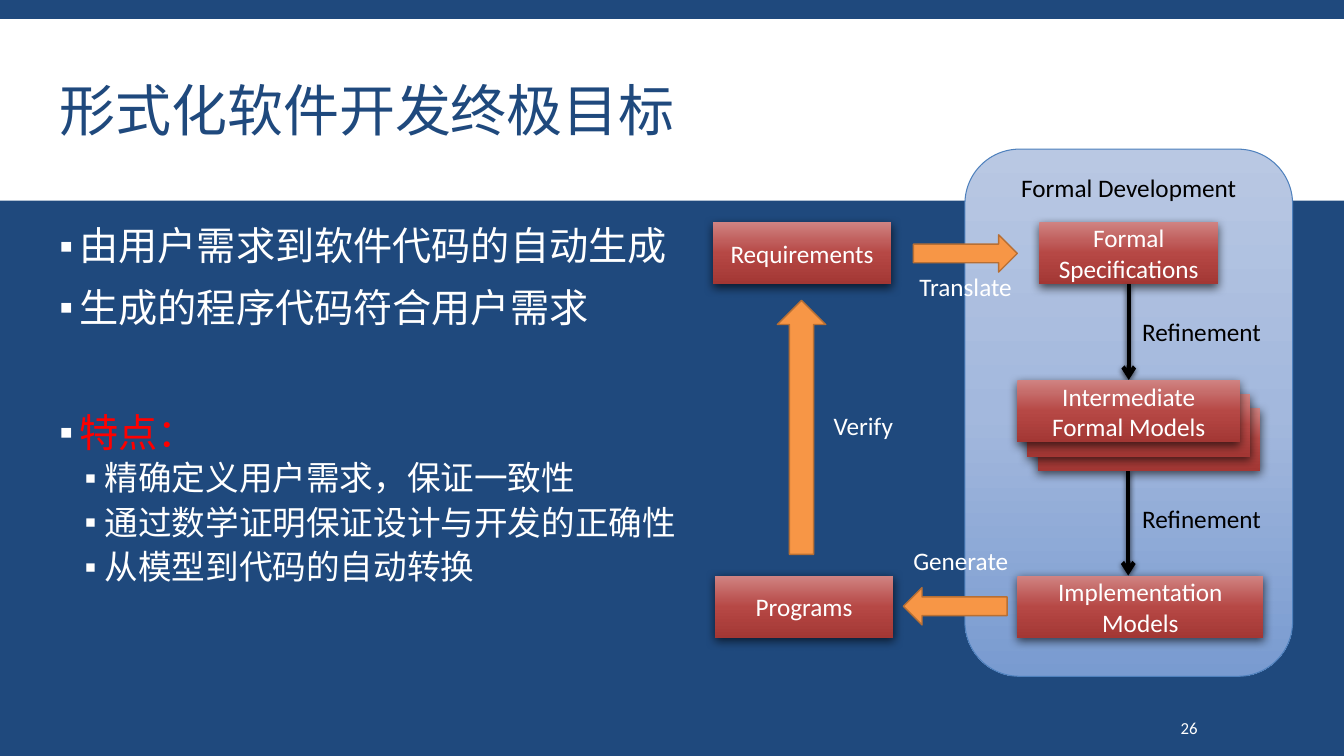
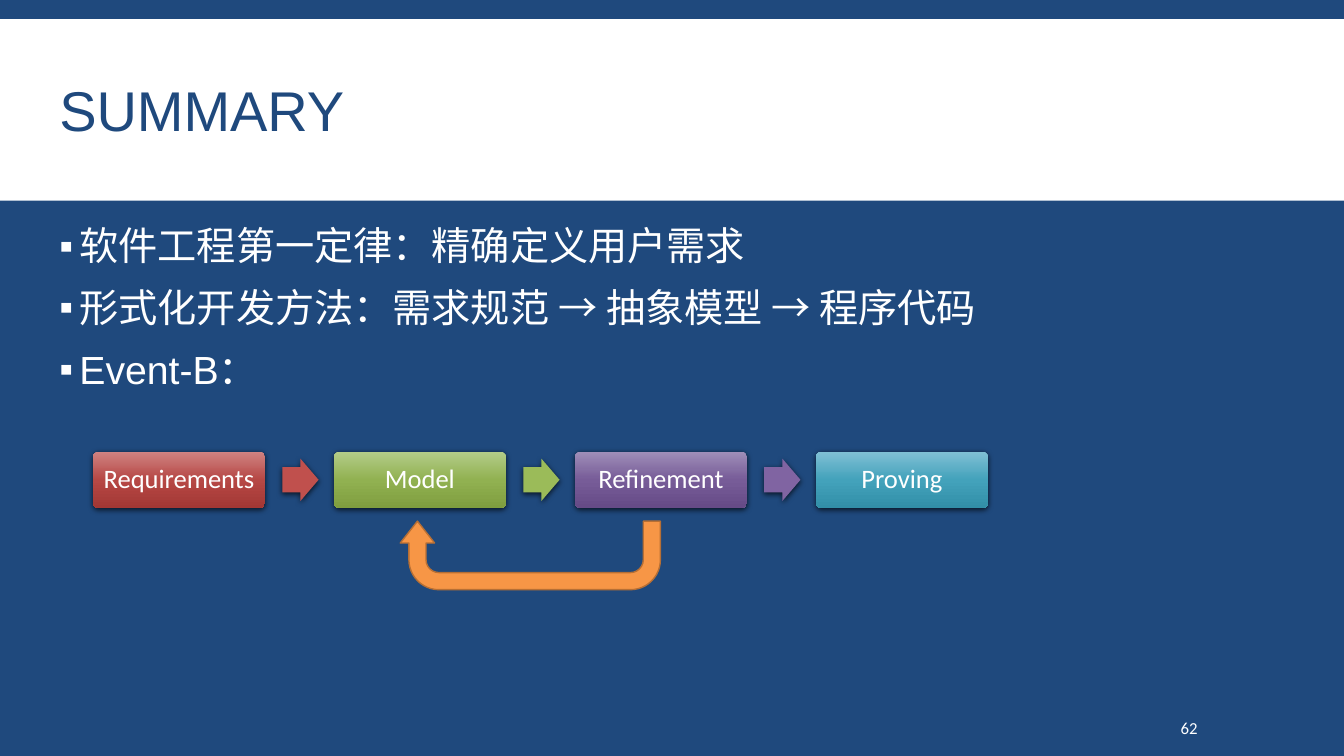
import copy
import dataclasses

import lxml.etree
import pptx
import pptx.dml.color
import pptx.enum.shapes
import pptx.enum.text
import pptx.oxml.ns
import pptx.util

Inches = pptx.util.Inches
Pt = pptx.util.Pt
qn = pptx.oxml.ns.qn
SHAPE = pptx.enum.shapes.MSO_SHAPE
ALIGN = pptx.enum.text.PP_ALIGN
ANCHOR = pptx.enum.text.MSO_ANCHOR

COLORS = {
    "navy": "1F497D", "white": "FFFFFF", "black": "000000", "alert": "FF0000",
    "orange": "F79646", "orange_edge": "B76F34", "panel_edge": "4F81BD",
    "red": "C0504D", "green": "9BBB59", "purple": "8064A2",
}
GRADIENTS = {
    "panel": ("B9C8E3", "A3B8DD", "799BD0"),
    "red": ("D08382", "B64845", "A33734"),
    "green": ("B3CC88", "91B151", "7F9E3F"),
    "purple": ("9F8EB8", "775C98", "664B87"),
    "teal": ("81C0D5", "43A2BB", "328FA8"),
}
# Shadows: opacity in percent, blur and distance in points
DEEP_SHADOW = (63, 7, 2.2)
SOFT_SHADOW = (68, 4, 1.2)


@dataclasses.dataclass
class Box:
    """A rectangle in inches."""
    left: float
    top: float
    width: float
    height: float

    def inner(self, left, top, width, height):
        """A box placed relative to this one's top left corner."""
        return Box(self.left + left, self.top + top, width, height)

    def lengths(self):
        return [Inches(v) for v in (self.left, self.top, self.width, self.height)]


TITLE_BAND = Box(0, 0.19, 13.33, 1.8)
TITLE = Box(0.49, 0.31, 12.33, 1.65)
BODY = Box(0.49, 2.2, 12.33, 4.6)
PAGE_NUMBER = Box(11.66, 7.02, 1.17, 0.4)


def rgb(name):
    return pptx.dml.color.RGBColor.from_string(COLORS.get(name, name))


def add_run(para, text, size, color, font="Calibri"):
    span = para.add_run()
    span.text = text
    span.font.size = Pt(size)
    span.font.name = font
    span.font.color.rgb = rgb(color)


def add_text_box(page, box, wrap=True, anchor=ANCHOR.TOP):
    shape = page.shapes.add_textbox(*box.lengths())
    shape.text_frame.word_wrap = wrap
    shape.text_frame.vertical_anchor = anchor
    return shape.text_frame


def add_shadow(effects, shadow):
    opacity, blur, distance = shadow
    outer = lxml.etree.SubElement(
        effects, qn("a:outerShdw"), blurRad=str(Pt(blur)), dist=str(Pt(distance)),
        dir="5400000", rotWithShape="0")
    tint = lxml.etree.SubElement(outer, qn("a:srgbClr"), val=COLORS["black"])
    lxml.etree.SubElement(tint, qn("a:alpha"), val=str(opacity * 1000))


def fill_gradient(shape, name):
    """Fill from top to bottom with three stops."""
    shape.fill.gradient()
    shape.fill.gradient_angle = 270
    stop_list = shape._element.spPr.find(qn("a:gradFill")).find(qn("a:gsLst"))
    stop_list.insert(1, copy.deepcopy(stop_list[0]))
    for index, stop in enumerate(shape.fill.gradient_stops):
        stop.position = index / 2
        stop.color.rgb = rgb(GRADIENTS[name][index])


def add_shape(page, kind, box, fill=None, gradient=None, edge=None,
              edge_width=1, shadow=None, adjustments=()):
    shape = page.shapes.add_shape(kind, *box.lengths())
    for index, value in enumerate(adjustments):
        shape.adjustments[index] = value
    if gradient:
        fill_gradient(shape, gradient)
    else:
        shape.fill.solid()
        shape.fill.fore_color.rgb = rgb(fill)
    if edge:
        shape.line.color.rgb = rgb(edge)
        shape.line.width = Pt(edge_width)
    else:
        shape.line.fill.background()
    shape.shadow.inherit = False
    if shadow:
        add_shadow(shape._element.spPr.find(qn("a:effectLst")), shadow)
    return shape


def label_shape(shape, text, size=18, color="white", anchor=ANCHOR.MIDDLE):
    frame = shape.text_frame
    frame.word_wrap = True
    frame.vertical_anchor = anchor
    para = frame.paragraphs[0]
    para.alignment = ALIGN.CENTER
    add_run(para, text, size, color)
    return para


def add_orange_arrow(page, kind, box, adjustments=()):
    return add_shape(page, kind, box, fill="orange", edge="orange_edge",
                     adjustments=adjustments)


def add_refinement_line(page, x, top, bottom):
    line = page.shapes.add_connector(
        pptx.enum.shapes.MSO_CONNECTOR.STRAIGHT,
        Inches(x), Inches(top), Inches(x), Inches(bottom))
    line.line.color.rgb = rgb("black")
    line.line.width = Pt(3)
    lxml.etree.SubElement(line.get_or_add_ln(), qn("a:tailEnd"), type="arrow")
    effects = lxml.etree.SubElement(line._element.spPr, qn("a:effectLst"))
    add_shadow(effects, SOFT_SHADOW)
    return line


def add_page(deck, title, number):
    """A page with the title band, its title and the page number."""
    page = deck.slides.add_slide(deck.slide_layouts[6])
    add_shape(page, SHAPE.RECTANGLE, TITLE_BAND, fill="white")
    para = add_text_box(page, TITLE, anchor=ANCHOR.MIDDLE).paragraphs[0]
    para.line_spacing = 0.85
    add_run(para, title, 40, "navy", "Arial")
    frame = add_text_box(page, PAGE_NUMBER, anchor=ANCHOR.MIDDLE)
    frame.margin_left = Inches(0.05)
    add_run(frame.paragraphs[0], number, 12, "white")
    return page


def set_bullet(para, margin):
    properties = para._p.get_or_add_pPr()
    properties.set("marL", str(Inches(margin)))
    properties.set("indent", str(Inches(-0.2)))
    tint = lxml.etree.SubElement(properties, qn("a:buClr"))
    lxml.etree.SubElement(tint, qn("a:srgbClr"), val=COLORS["white"])
    lxml.etree.SubElement(properties, qn("a:buFont"), typeface="Arial")
    lxml.etree.SubElement(properties, qn("a:buChar"), char="▪")


def add_bullets(page, box, items):
    """Items are (level, text, colour, extra space before in points)."""
    frame = add_text_box(page, box)
    for index, (level, text, color, extra) in enumerate(items):
        para = frame.add_paragraph() if index else frame.paragraphs[0]
        margin, size, before, after = ((0.2, 28, 12, 2), (0.45, 24, 2, 4))[level]
        set_bullet(para, margin)
        para.level = level
        para.line_spacing = 0.9
        para.space_before = Pt(before + extra if index else 0)
        para.space_after = Pt(after)
        add_run(para, text, size, color, "Arial")


def draw_development_cycle(page, box):
    def add_card(left, top, width, text=None):
        card = add_shape(page, SHAPE.RECTANGLE, box.inner(left, top, width, 0.62),
                         gradient="red", shadow=DEEP_SHADOW)
        if text:
            label_shape(card, text)
        return card

    first_row, last_row, models_left, models_top = 0.72, 4.23, 3.02, 2.29
    panel = add_shape(page, SHAPE.ROUNDED_RECTANGLE, box.inner(2.5, 0, 3.25, box.height),
                      gradient="panel", edge="panel_edge", edge_width=0.75)
    label_shape(panel, "Formal Development", color="black", anchor=ANCHOR.TOP)
    panel.text_frame.margin_top = Inches(0.07)

    add_card(0, first_row, 1.77, "Requirements")
    specifications = add_card(3.24, first_row, 1.77, "Formal Specifications")
    line_x = box.left + 4.12
    to_models = add_refinement_line(page, line_x, box.top + first_row + 0.62,
                                    box.top + models_top)
    add_refinement_line(page, line_x, box.top + 3.19, box.top + last_row)
    add_card(models_left, last_row, 2.44, "Implementation Models")
    for step in (2, 1, 0):
        text = None if step else "Intermediate Formal Models"
        front = add_card(models_left + 0.1 * step, models_top + 0.14 * step, 2.21, text)
    to_models.begin_connect(specifications, 2)
    to_models.end_connect(front, 0)
    add_card(0.02, last_row, 1.77, "Programs")

    for kind, *place in (
        (SHAPE.RIGHT_ARROW, 1.99, 0.85, 1.03, 0.37),
        (SHAPE.LEFT_ARROW, 1.89, 4.35, 1.03, 0.37),
        (SHAPE.UP_ARROW, 0.64, 1.5, 0.48, 2.52),
    ):
        add_orange_arrow(page, kind, box.inner(*place))
    for text, color, left, top, width in (
        ("Refinement", "black", 4.16, 1.61, 1.4),
        ("Refinement", "black", 4.16, 3.46, 1.4),
        ("Translate", "white", 1.95, 1.16, 1.13),
        ("Generate", "white", 1.89, 3.88, 1.16),
        ("Verify", "white", 1.1, 2.54, 0.8),
    ):
        frame = add_text_box(page, box.inner(left, top, width, 0.4), wrap=False)
        add_run(frame.paragraphs[0], text, 18, color)


def draw_process(page, box):
    """Four steps in a row, with a way back from the third to the second."""
    steps = (("Requirements", "red"), ("Model", "green"),
             ("Refinement", "purple"), ("Proving", "teal"))
    pitch, width, height = 2.39, 1.71, 0.56
    back = add_orange_arrow(page, SHAPE.U_TURN_ARROW, box.inner(3.05, 0.69, 2.58, 0.68),
                            (0.25, 0.25, 0.319, 0.438, 1))
    back.rotation = 180
    for index, (text, color) in enumerate(steps):
        left = index * pitch
        card = add_shape(page, SHAPE.ROUNDED_RECTANGLE, box.inner(left, 0, width, height),
                         gradient=color, shadow=SOFT_SHADOW, adjustments=(0.1,))
        card.text_frame.margin_left = card.text_frame.margin_right = Inches(0.05)
        label_shape(card, text, 19).line_spacing = 0.9
        if index < len(steps) - 1:
            add_shape(page, SHAPE.RIGHT_ARROW, box.inner(left + 1.88, 0.07, 0.36, 0.42),
                      fill=color, shadow=SOFT_SHADOW, adjustments=(0.6, 0.5))


def build_goal_page(deck):
    page = add_page(deck, "形式化软件开发终极目标", "26")
    add_bullets(page, BODY, (
        (0, "由用户需求到软件代码的自动生成", "white", 0),
        (0, "生成的程序代码符合用户需求", "white", 0),
        (0, "特点：", "alert", 45),
        (1, "精确定义用户需求，保证一致性", "white", 0),
        (1, "通过数学证明保证设计与开发的正确性", "white", 0),
        (1, "从模型到代码的自动转换", "white", 0),
    ))
    draw_development_cycle(page, Box(7.07, 1.48, 5.75, 5.23))


def build_summary_page(deck):
    page = add_page(deck, "SUMMARY", "62")
    add_bullets(page, BODY, (
        (0, "软件工程第一定律：精确定义用户需求", "white", 0),
        (0, "形式化开发方法：需求规范 → 抽象模型 → 程序代码", "white", 0),
        (0, "Event-B：", "white", 0),
    ))
    draw_process(page, Box(0.92, 4.48, 8.88, 1.37))


def main():
    deck = pptx.Presentation()
    deck.slide_width = Inches(13.33)
    deck.slide_height = Inches(7.5)
    background = deck.slide_master.background.fill
    background.solid()
    background.fore_color.rgb = rgb("navy")
    build_goal_page(deck)
    build_summary_page(deck)
    deck.save("out.pptx")


if __name__ == "__main__":
    main()
